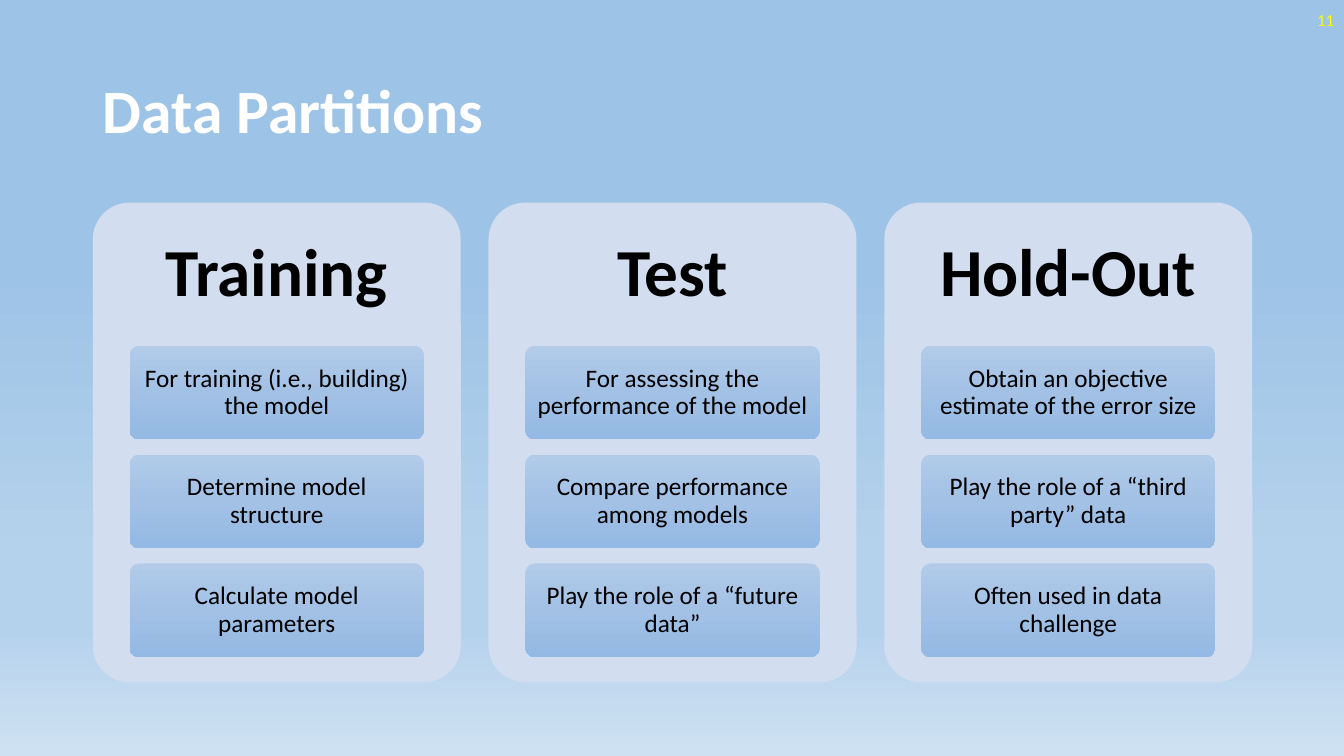
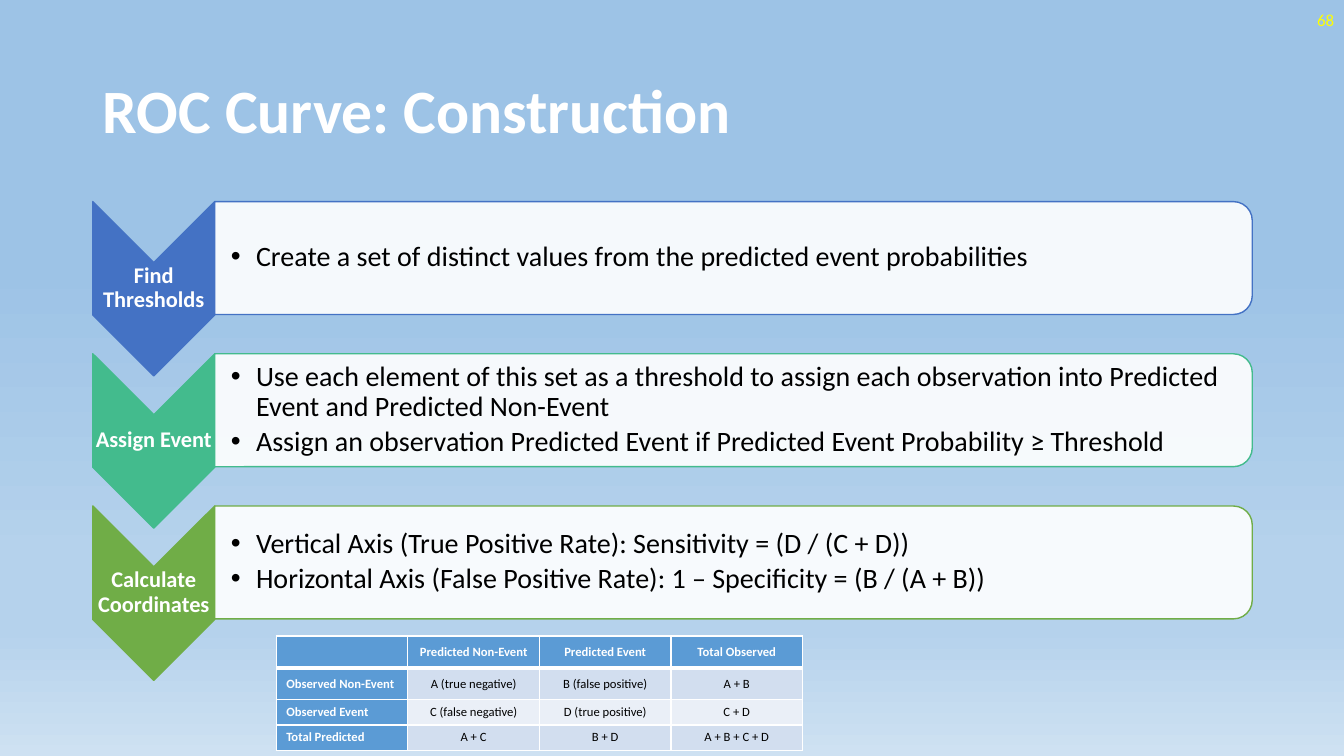
from lxml.etree import SubElement
from pptx import Presentation
from pptx.dml.color import RGBColor
from pptx.enum.shapes import MSO_SHAPE
from pptx.enum.text import MSO_ANCHOR, MSO_AUTO_SIZE, PP_ALIGN
from pptx.oxml.ns import qn
from pptx.util import Inches, Pt

FONT = "Calibri"
WHITE = RGBColor(0xFF, 0xFF, 0xFF)
BLACK = RGBColor(0x00, 0x00, 0x00)
YELLOW = RGBColor(0xFF, 0xFF, 0x00)
SKY = RGBColor(0x9D, 0xC3, 0xE6)
LIGHT_SKY = RGBColor(0xB5, 0xD2, 0xEC)
PALE_SKY = RGBColor(0xCE, 0xE1, 0xF2)
PANEL = RGBColor(0xD2, 0xDE, 0xEF)
PALE_ROW = RGBColor(0xEA, 0xEF, 0xF7)
HEADER = RGBColor(0x5B, 0x9B, 0xD5)
BLUE = RGBColor(0x44, 0x72, 0xC4)
TEAL = RGBColor(0x43, 0xBB, 0x8D)
GREEN = RGBColor(0x70, 0xAD, 0x47)
BACKGROUND_STOPS = [(35, SKY), (74, LIGHT_SKY), (83, LIGHT_SKY), (100, PALE_SKY)]
CARD_STOPS = [
    (0, RGBColor(0xB1, 0xCB, 0xE9)),
    (50, RGBColor(0xA3, 0xC1, 0xE5)),
    (100, RGBColor(0x93, 0xB9, 0xE4)),
]

MARGIN = 0.92
CONTENT_WIDTH = 11.5

PARTITIONS = [
    ("Training", [
        "For training (i.e., building) the model",
        "Determine model structure",
        "Calculate model parameters",
    ]),
    ("Test", [
        "For assessing the performance of the model",
        "Compare performance among models",
        "Play the role of a “future data”",
    ]),
    ("Hold-Out", [
        "Obtain an objective estimate of the error size",
        "Play the role of a “third party” data",
        "Often used in data challenge",
    ]),
]
STEPS = [
    ("Find Thresholds", BLUE, [
        "Create a set of distinct values from the predicted event probabilities",
    ]),
    ("Assign Event", TEAL, [
        "Use each element of this set as a threshold to assign each observation "
        "into Predicted Event and Predicted Non-Event",
        "Assign an observation Predicted Event if Predicted Event Probability ≥ Threshold",
    ]),
    ("Calculate Coordinates", GREEN, [
        "Vertical Axis (True Positive Rate): Sensitivity = (D / (C + D))",
        "Horizontal Axis (False Positive Rate): 1 – Specificity = (B / (A + B))",
    ]),
]
CONFUSION_MATRIX = [
    ["", "Predicted Non-Event", "Predicted Event", "Total Observed"],
    ["Observed Non-Event", "A (true negative)", "B (false positive)", "A + B"],
    ["Observed Event", "C (false negative)", "D (true positive)", "C + D"],
    ["Total Predicted", "A + C", "B + D", "A + B + C + D"],
]


def apply_gradient(fill, owner, stops):
    fill.gradient()
    fill.gradient_angle = 270
    stop_list = owner.find(".//" + qn("a:gsLst"))
    for old_stop in list(stop_list):
        stop_list.remove(old_stop)
    for position, color in stops:
        stop = SubElement(stop_list, qn("a:gs"), pos=str(position * 1000))
        SubElement(stop, qn("a:srgbClr"), val=str(color))


def write(paragraph, text, size, color, bold=False, align=PP_ALIGN.LEFT, spacing=0.9):
    paragraph.alignment = align
    paragraph.line_spacing = spacing
    run = paragraph.add_run()
    run.text = text
    font = run.font
    font.name, font.size, font.bold = FONT, Pt(size), bold
    font.color.rgb = color


def prepare_frame(frame, margins=(0.1, 0.05)):
    frame.word_wrap = True
    frame.auto_size = MSO_AUTO_SIZE.NONE
    frame.vertical_anchor = MSO_ANCHOR.MIDDLE
    frame.margin_left = frame.margin_right = Inches(margins[0])
    frame.margin_top = frame.margin_bottom = Inches(margins[1])
    return frame


def add_text(slide, left, top, width, height, margins=(0.1, 0.05)):
    box = slide.shapes.add_textbox(Inches(left), Inches(top), Inches(width), Inches(height))
    return prepare_frame(box.text_frame, margins)


def add_block(slide, kind, left, top, width, height, fill=None, line=None):
    block = slide.shapes.add_shape(
        kind, Inches(left), Inches(top), Inches(width), Inches(height))
    block.shadow.inherit = False
    if fill is not None:
        block.fill.solid()
        block.fill.fore_color.rgb = fill
    if line is None:
        block.line.fill.background()
    else:
        block.line.color.rgb = line
        block.line.width = Pt(1)
    return block


def add_turned_block(slide, kind, left, top, width, height, fill, line):
    shift = (width - height) / 2
    block = add_block(slide, kind, left + shift, top - shift, height, width, fill, line)
    block.rotation = 90
    return block


def add_titled_slide(prs, title, number):
    slide = prs.slides.add_slide(prs.slide_layouts[5])
    heading = slide.shapes.title
    heading.left, heading.top = Inches(MARGIN), Inches(0.4)
    heading.width, heading.height = Inches(CONTENT_WIDTH), Inches(1.45)
    write(prepare_frame(heading.text_frame).paragraphs[0], title, 44, WHITE, bold=True)
    page = add_text(slide, 10.33, 0, 3, 0.4)
    write(page.paragraphs[0], number, 12, YELLOW, align=PP_ALIGN.RIGHT, spacing=1.0)
    return slide


def add_card(slide, left, top, width, text):
    card = add_block(slide, MSO_SHAPE.ROUNDED_RECTANGLE, left, top, width, 0.93)
    card.adjustments[0] = 0.1
    apply_gradient(card.fill, card._element, CARD_STOPS)
    frame = prepare_frame(card.text_frame, (0.05, 0.04))
    write(frame.paragraphs[0], text, 18, BLACK, align=PP_ALIGN.CENTER)


def add_partition(slide, left, width, name, uses):
    top = 2.01
    panel = add_block(slide, MSO_SHAPE.ROUNDED_RECTANGLE, left, top, width, 4.76, PANEL)
    panel.adjustments[0] = 0.1
    heading = add_text(slide, left, top, width, 1.43, (0.2, 0.2))
    write(heading.paragraphs[0], name, 48, BLACK, bold=True, align=PP_ALIGN.CENTER)
    card_width = width * 0.8
    for row, use in enumerate(uses):
        add_card(slide, left + width * 0.1, 3.43 + row * 1.08, card_width, use)


def add_bullet(paragraph, text):
    properties = paragraph._p.get_or_add_pPr()
    properties.set("marL", str(Inches(0.25)))
    properties.set("indent", str(-Inches(0.25)))
    SubElement(properties, qn("a:buFont"), typeface="Arial")
    SubElement(properties, qn("a:buChar"), char="•")
    write(paragraph, text, 20, BLACK)


def add_step(slide, top, name, color, points):
    arrow_width = 1.21
    body_left = MARGIN + arrow_width
    body_width = CONTENT_WIDTH - arrow_width
    add_turned_block(slide, MSO_SHAPE.CHEVRON, MARGIN, top, arrow_width, 1.73, color, color)
    label = add_text(slide, MARGIN, top + 0.6, arrow_width, 0.52, (0.01, 0.01))
    write(label.paragraphs[0], name, 16, WHITE, bold=True, align=PP_ALIGN.CENTER)

    body = add_turned_block(slide, MSO_SHAPE.ROUND_2_SAME_RECTANGLE,
                            body_left, top, body_width, 1.12, WHITE, color)
    body_color = body._element.spPr.find(qn("a:solidFill")).find(qn("a:srgbClr"))
    SubElement(body_color, qn("a:alpha"), val="90000")
    frame = add_text(slide, body_left, top + 0.05, body_width - 0.05, 1.01, (0.01, 0.01))
    frame.margin_left = Inches(0.16)
    for index, point in enumerate(points):
        paragraph = frame.add_paragraph() if index else frame.paragraphs[0]
        add_bullet(paragraph, point)
        if index:
            paragraph.space_before = Pt(3)


def add_borders(cell, top_width, bottom_width):
    properties = cell._tc.get_or_add_tcPr()
    widths = {"a:lnL": 1, "a:lnR": 1, "a:lnT": top_width, "a:lnB": bottom_width}
    for side, width in widths.items():
        border = SubElement(properties, qn(side), w=str(Pt(width)))
        fill = SubElement(border, qn("a:solidFill"))
        SubElement(fill, qn("a:srgbClr"), val=str(WHITE))


def add_matrix(slide, rows):
    row_heights = [0.32, 0.31, 0.25, 0.25]
    table = slide.shapes.add_table(
        len(rows), len(rows[0]), Inches(2.74), Inches(6.31),
        Inches(5.22), Inches(sum(row_heights))).table
    for row, (height, texts) in enumerate(zip(row_heights, rows)):
        table.rows[row].height = Inches(height)
        for column, text in enumerate(texts):
            cell = table.cell(row, column)
            is_header = row == 0 or column == 0
            add_borders(cell, 3 if row == 1 else 1, 3 if row == 0 else 1)
            cell.fill.solid()
            cell.fill.fore_color.rgb = HEADER if is_header else (PALE_ROW, PANEL)[row % 2]
            cell.vertical_anchor = MSO_ANCHOR.MIDDLE
            paragraph = cell.text_frame.paragraphs[0]
            if text:
                write(paragraph, text, 9, WHITE if is_header else BLACK, is_header,
                      PP_ALIGN.CENTER if column else PP_ALIGN.LEFT, 1.0)
            else:
                SubElement(paragraph._p, qn("a:endParaRPr"), sz="900")


def build_partitions(prs):
    slide = add_titled_slide(prs, "Data Partitions", "11")
    width = 3.65
    step = (CONTENT_WIDTH - width) / (len(PARTITIONS) - 1)
    for index, (name, uses) in enumerate(PARTITIONS):
        add_partition(slide, MARGIN + index * step, width, name, uses)


def build_roc_construction(prs):
    slide = add_titled_slide(prs, "ROC Curve: Construction", "68")
    for index, (name, color, points) in enumerate(STEPS):
        add_step(slide, 2 + index * 1.51, name, color, points)
    add_matrix(slide, CONFUSION_MATRIX)


def main():
    prs = Presentation()
    prs.slide_width, prs.slide_height = Inches(13.33), Inches(7.5)
    master = prs.slide_master
    apply_gradient(master.background.fill, master._element, BACKGROUND_STOPS)
    build_partitions(prs)
    build_roc_construction(prs)
    prs.save("out.pptx")


if __name__ == "__main__":
    main()
